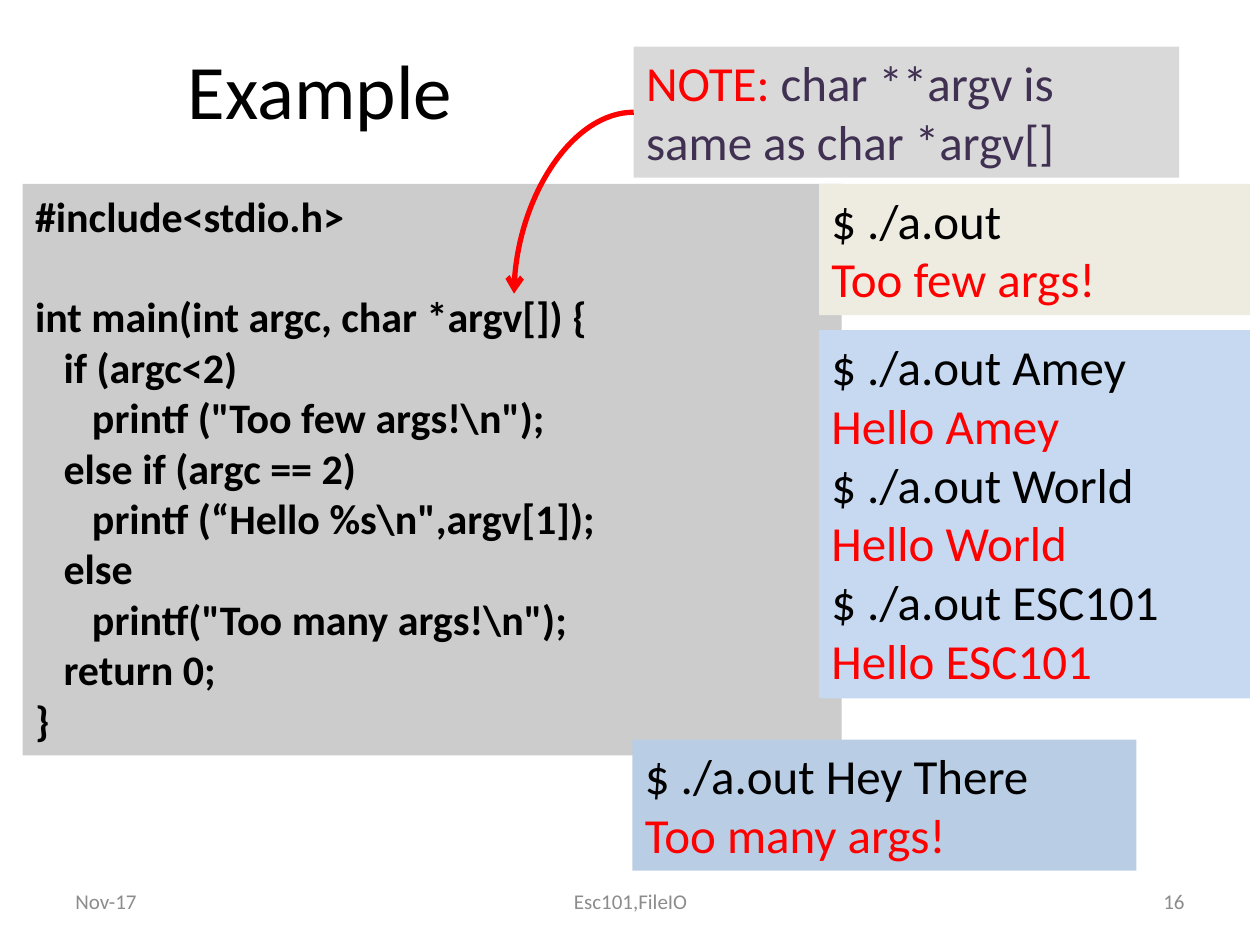
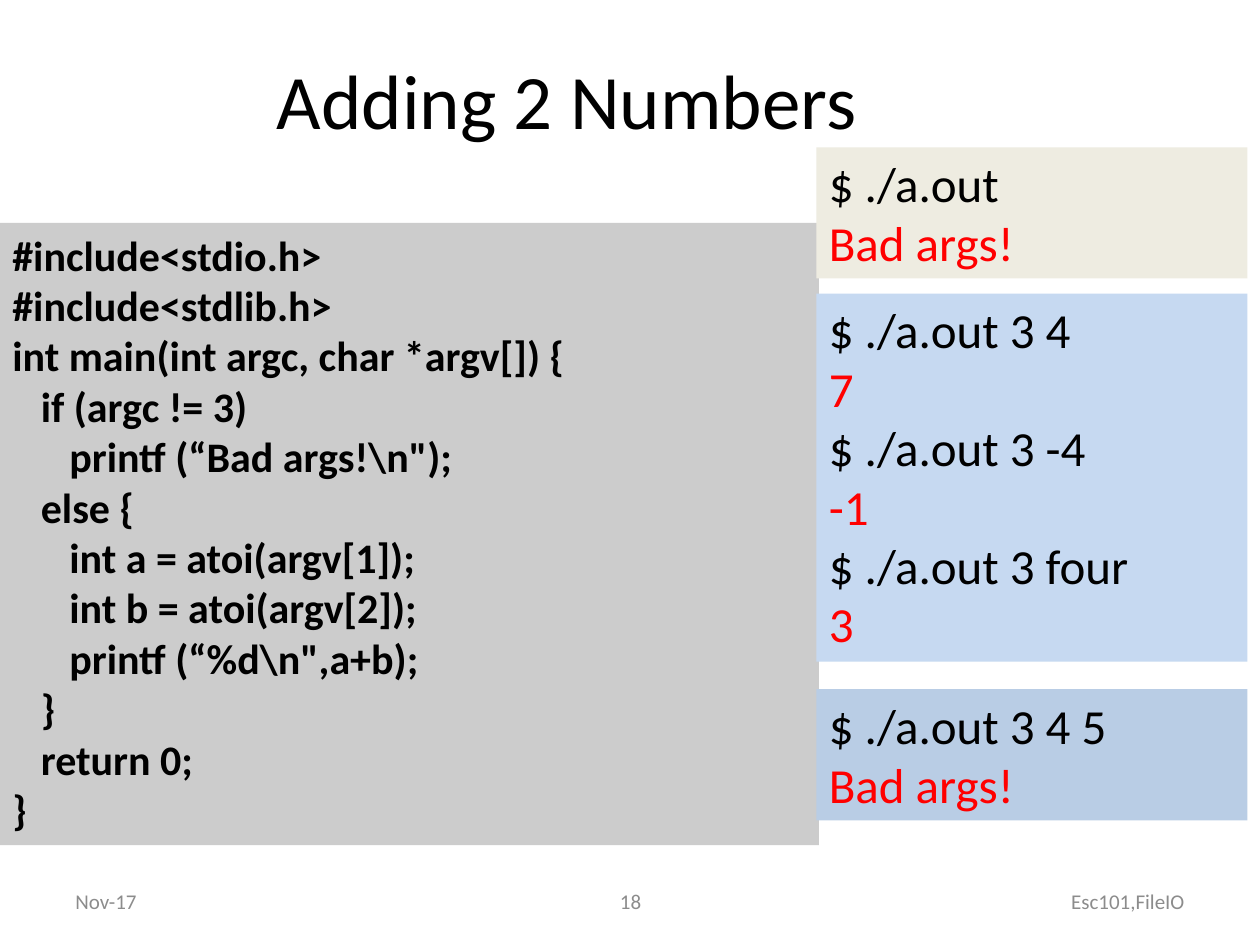
from lxml import etree
from pptx import Presentation
from pptx.dml.color import RGBColor
from pptx.enum.shapes import MSO_CONNECTOR as CXN, MSO_SHAPE as SHAPE
from pptx.enum.text import MSO_ANCHOR as ANCHOR, MSO_AUTO_SIZE as FIT, PP_ALIGN as ALIGN
from pptx.oxml.ns import qn
from pptx.util import Inches, Pt

FONT = "Calibri"
BLACK = RGBColor(0x00, 0x00, 0x00)
RED = RGBColor(0xFF, 0x00, 0x00)
PURPLE = RGBColor(0x40, 0x31, 0x52)
FOOTER_GREY = RGBColor(0x8C, 0x8C, 0x8C)
CODE_GREY = RGBColor(0xCC, 0xCC, 0xCC)
NOTE_GREY = RGBColor(0xD9, 0xD9, 0xD9)
CREAM = RGBColor(0xEE, 0xEC, 0xE1)
LIGHT_BLUE = RGBColor(0xC6, 0xD9, 0xF1)
MID_BLUE = RGBColor(0xB9, 0xCD, 0xE5)

CODE_SIZE = 24
SESSION_SIZE = 28
LINE_PER_POINT = 0.0168
SESSION_W = 3.42

ARGS_CODE = r'''#include<stdio.h>

int main(int argc, char *argv[]) {
   if (argc<2)
      printf ("Too few args!\n");
   else if (argc == 2)
      printf (“Hello %s\n",argv[1]);
   else
      printf("Too many args!\n");
   return 0;
}'''

ADD_CODE = r'''#include<stdio.h>
#include<stdlib.h>
int main(int argc, char *argv[]) {
   if (argc != 3)
      printf (“Bad args!\n");
   else {
      int a = atoi(argv[1]);
      int b = atoi(argv[2]);
      printf (“%d\n",a+b);
   }
   return 0;
}'''


def add_run(p, text, size=SESSION_SIZE, color=BLACK, bold=False):
    r = p.add_run()
    r.text = text
    r.font.name = FONT
    r.font.size = Pt(size)
    r.font.bold = bold
    r.font.color.rgb = color


def write_lines(tf, lines, size=SESSION_SIZE, bold=False, color_of=lambda line: BLACK):
    for i, line in enumerate(lines):
        p = tf.add_paragraph() if i else tf.paragraphs[0]
        p.alignment = ALIGN.LEFT
        if line:
            add_run(p, line, size=size, color=color_of(line), bold=bold)
        else:
            p.font.size = Pt(size)


def add_panel(shapes, left, top, width, line_count, fill, size=SESSION_SIZE):
    height = line_count * size * LINE_PER_POINT + 0.1
    sp = shapes.add_shape(SHAPE.RECTANGLE, Inches(left), Inches(top),
                          Inches(width), Inches(height))
    sp.shadow.inherit = False
    sp.fill.solid()
    sp.fill.fore_color.rgb = fill
    sp.line.fill.background()
    tf = sp.text_frame
    tf.word_wrap = True
    tf.auto_size = FIT.SHAPE_TO_FIT_TEXT
    tf.vertical_anchor = ANCHOR.TOP
    return sp


def add_code(s, left, top, code):
    lines = code.split("\n")
    sp = add_panel(s.shapes, left, top, 6.5, len(lines), CODE_GREY, size=CODE_SIZE)
    write_lines(sp.text_frame, lines, size=CODE_SIZE, bold=True)


def add_session(s, left, top, lines, fill, width=SESSION_W):
    sp = add_panel(s.shapes, left, top, width, len(lines), fill)
    write_lines(sp.text_frame, lines,
                color_of=lambda line: BLACK if line.startswith("$") else RED)


def add_note(s, left, top, tip_x, tip_y):
    group = s.shapes.add_group_shape()
    note = add_panel(group.shapes, left, top, 4.33, 2, NOTE_GREY)
    p = note.text_frame.paragraphs[0]
    p.alignment = ALIGN.LEFT
    add_run(p, "NOTE: ", color=RED)
    add_run(p, "char **argv is same as char *argv[]", color=PURPLE)

    arrow = group.shapes.add_connector(CXN.CURVE, note.left, note.top + note.height // 2,
                                       Inches(tip_x), Inches(tip_y))
    arrow.begin_connect(note, 1)
    arrow.line.color.rgb = RED
    arrow.line.width = Pt(3)
    sp_pr = arrow._element.spPr
    sp_pr.find(qn("a:prstGeom")).set("prst", "curvedConnector2")
    etree.SubElement(sp_pr.find(qn("a:ln")), qn("a:tailEnd"), type="arrow")
    etree.SubElement(sp_pr, qn("a:effectLst"))


def add_footer(s, center, right):
    cells = [(0.5, 2.33, "Nov-17", ALIGN.LEFT),
             (3.42, 3.17, center, ALIGN.CENTER),
             (7.17, 2.33, right, ALIGN.RIGHT)]
    for left, width, text, align in cells:
        box = s.shapes.add_textbox(Inches(left), Inches(6.95), Inches(width), Inches(0.4))
        tf = box.text_frame
        tf.word_wrap = True
        tf.vertical_anchor = ANCHOR.MIDDLE
        p = tf.paragraphs[0]
        p.alignment = align
        add_run(p, text, size=12, color=FOOTER_GREY)


def add_titled_slide(prs, title, top, width, center, right):
    s = prs.slides.add_slide(prs.slide_layouts[5])
    sp = s.shapes.title
    sp.left, sp.top, sp.width, sp.height = map(Inches, (0, top, width, 1.25))
    tf = sp.text_frame
    tf.vertical_anchor = ANCHOR.MIDDLE
    p = tf.paragraphs[0]
    p.alignment = ALIGN.CENTER
    add_run(p, title, size=44)
    add_footer(s, center, right)
    return s


def build_example(prs):
    s = add_titled_slide(prs, "Example", 0.08, 5.08, "Esc101,FileIO", "16")
    add_code(s, 0.18, 1.46, ARGS_CODE)
    greetings = [line for name in ("Amey", "World", "ESC101")
                 for line in (f"$ ./a.out {name}", f"Hello {name}")]
    add_session(s, 6.5, 2.62, greetings, LIGHT_BLUE)
    add_session(s, 6.5, 1.46, ["$ ./a.out", "Too few args!"], CREAM)
    add_session(s, 5.02, 5.87, ["$ ./a.out Hey There", "Too many args!"], MID_BLUE, width=4)
    add_note(s, 5.03, 0.37, 4.08, 2.33)


def build_adding(prs):
    s = add_titled_slide(prs, "Adding 2 Numbers", 0.16, 9, "18", "Esc101,FileIO")
    add_code(s, 0, 1.77, ADD_CODE)
    sums = ["$ ./a.out 3 4", "7", "$ ./a.out 3 -4", "-1", "$ ./a.out 3 four", "3"]
    add_session(s, 6.48, 2.33, sums, LIGHT_BLUE)
    add_session(s, 6.48, 1.17, ["$ ./a.out", "Bad args!"], CREAM)
    add_session(s, 6.48, 5.47, ["$ ./a.out 3 4 5", "Bad args!"], MID_BLUE)


def main():
    prs = Presentation()
    prs.slide_width, prs.slide_height = Inches(10), Inches(7.5)
    build_example(prs)
    build_adding(prs)
    prs.save("out.pptx")


if __name__ == "__main__":
    main()
